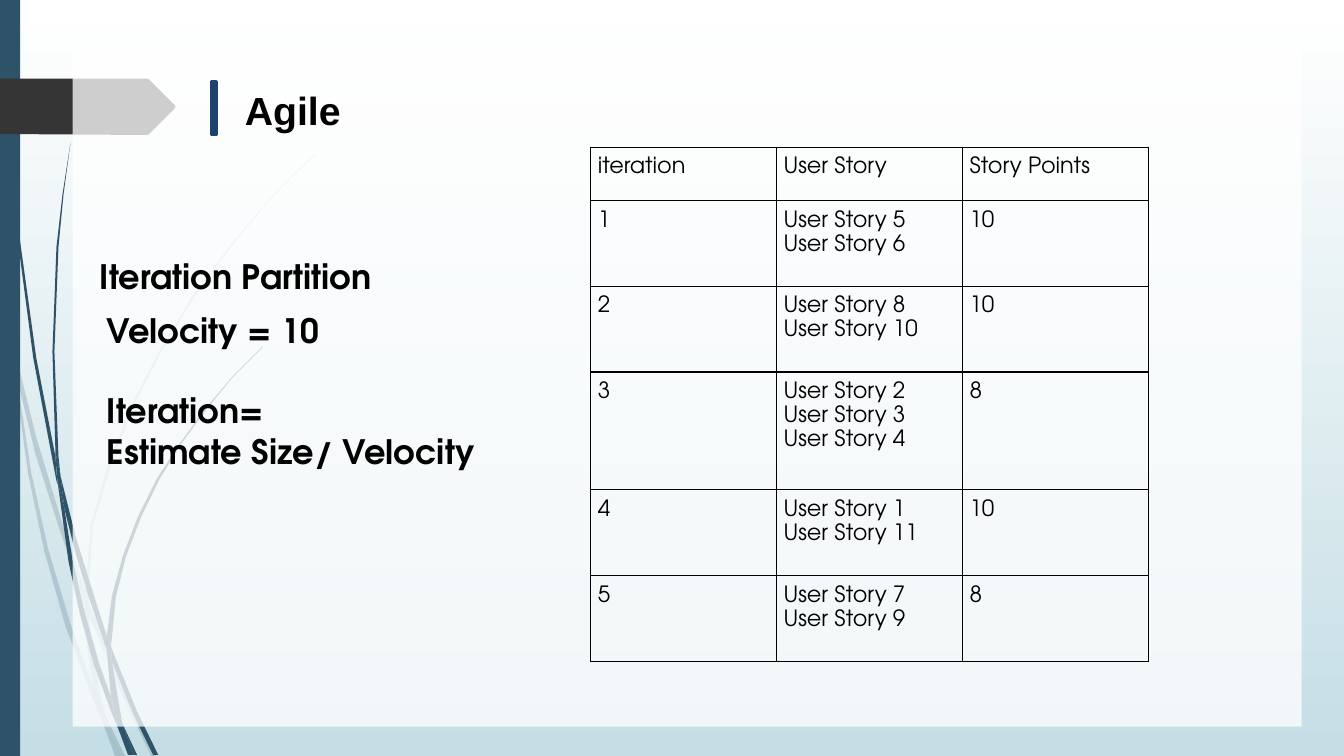
from dataclasses import dataclass
from typing import Any

from lxml import etree
from pptx import Presentation
from pptx import util as u
from pptx.dml.color import RGBColor
from pptx.enum import shapes, text
from pptx.oxml import ns

COLORS = {
    "ink": "000000", "white": "FFFFFF", "mist": "C5DEE5",
    "teal": "2E5369", "charcoal": "353535", "navy": "1C436D",
}
ADVENTOR = "TeX Gyre Adventor"
TITLE = {"name": "Arial", "size": u.Pt(28), "bold": True}
BODY = {"name": ADVENTOR, "size": u.Pt(24), "bold": True}
CELL = {"name": ADVENTOR, "size": u.Pt(16), "bold": False}

Points = list[tuple[int, int]]


@dataclass
class Bar:
    left: float
    top: float
    width: float
    height: float
    color: str
    alpha: int = 100


@dataclass
class Label:
    left: float
    top: float
    width: float
    height: float
    lines: list[str]
    font: dict[str, Any]
    inset: float = 0.1
    spacing: float = 1.0
    gaps: tuple[int, ...] = ()


@dataclass
class Iteration:
    number: str
    stories: list[str]
    points: str
    height: float = 0.85


# Outlines in hundredths of an inch
PALE_STALKS: list[Points] = [
    [(11, 350), (9, 322), (0, 282), (0, 299), (10, 344)],
    [(58, 522), (84, 599), (85, 586), (62, 520), (36, 434), (14, 345), (17, 376), (35, 450)],
    [(92, 607), (88, 596), (88, 610), (123, 694), (150, 750), (155, 750), (127, 692)],
    [(119, 750), (124, 750), (105, 711)],
    [(93, 683), (70, 619), (48, 545), (31, 469), (17, 376), (11, 350), (28, 470), (44, 547),
     (65, 621), (92, 693), (101, 714), (99, 707)],
    [(84, 599), (87, 646), (93, 683), (96, 692), (105, 711), (103, 706), (91, 646),
     (88, 610), (88, 608)],
    [(88, 584), (92, 522), (110, 462), (132, 404), (160, 349), (192, 296), (229, 245),
     (268, 198), (290, 175), (312, 154), (312, 153), (289, 175), (268, 197), (228, 244),
     (190, 295), (158, 348), (130, 403), (107, 461), (90, 521), (85, 584), (85, 586), (88, 596)],
    [(101, 714), (114, 750), (119, 750)],
    [(88, 608), (88, 596), (85, 586), (84, 599)],
    [(96, 692), (93, 683), (99, 707), (101, 714), (119, 750), (105, 711)],
]
DARK_STALKS: list[Points] = [
    [(7, 110), (17, 233), (33, 355), (56, 477), (57, 481), (55, 453), (36, 355), (19, 232),
     (8, 109), (5, 48), (4, 0), (3, 0), (4, 48)],
    [(88, 592), (106, 645), (106, 631), (93, 590), (75, 532), (60, 472), (64, 505), (75, 549)],
    [(113, 649), (110, 641), (111, 656), (132, 708), (152, 749), (157, 749), (136, 706)],
    [(110, 691), (98, 657), (84, 607), (72, 556), (64, 505), (57, 477), (68, 557), (79, 608),
     (93, 659), (111, 708), (117, 722), (116, 717)],
    [(60, 472), (58, 453), (54, 349), (58, 245), (63, 193), (70, 141), (62, 193), (56, 245),
     (52, 349), (55, 449)],
    [(133, 749), (136, 749), (122, 719)],
    [(57, 477), (64, 505), (60, 472), (55, 449), (55, 453)],
    [(111, 633), (115, 592), (125, 552), (140, 513), (158, 476), (180, 440), (205, 406),
     (231, 374), (261, 344), (260, 344), (231, 373), (204, 405), (179, 439), (156, 474),
     (137, 512), (122, 551), (111, 591), (106, 631), (110, 641)],
    [(117, 722), (127, 749), (131, 749)],
    [(106, 645), (110, 691), (116, 706), (122, 719), (121, 716), (111, 656), (109, 651)],
    [(106, 645), (109, 651), (111, 656), (110, 641), (106, 631)],
    [(116, 706), (110, 691), (116, 717), (117, 722), (130, 749), (133, 749), (122, 719)],
]
ARROW: Points = [(0, 78), (146, 78), (148, 79), (173, 104), (174, 106), (173, 108),
                 (148, 133), (146, 134), (0, 133)]

SIDE_BAR = Bar(0, 0, 0.2, 7.5, "teal")
PANEL = Bar(0.72, 0.48, 12.19, 6.73, "white", 76)
TITLE_MARK = Bar(2.1, 0.81, 0.05, 0.53, "navy")

LABELS = [
    Label(2.38, 0.81, 4.6, 0.57, ["Agile"], TITLE, inset=0.05),
    Label(0.89, 2.38, 5.42, 1.11, ["Iteration Partition"], BODY, spacing=1.15),
    Label(0.96, 2.97, 4.1, 1.8, ["Velocity = 10", "Iteration=", "Estimate Size/ Velocity"],
          BODY, gaps=(0, 29, 0)),
]

ITERATIONS = [
    Iteration("iteration", ["User Story"], "Story Points", 0.53),
    Iteration("1", ["User Story 5", "User Story 6"], "10"),
    Iteration("2", ["User Story 8", "User Story 10"], "10"),
    Iteration("3", ["User Story 2", "User Story 3", "User Story 4"], "8", 1.17),
    Iteration("4", ["User Story 1", "User Story 11"], "10"),
    Iteration("5", ["User Story 7", "User Story 9"], "8"),
]


def rgb(name: str) -> RGBColor:
    return RGBColor.from_string(COLORS[name])


def paint(sp: Any, color: str, alpha: int = 100) -> None:
    sp.shadow.inherit = False
    sp.fill.solid()
    sp.fill.fore_color.rgb = rgb(color)
    sp.line.fill.background()
    if alpha < 100:
        clr = sp._element.spPr.find(ns.qn("a:solidFill"))[0]
        etree.SubElement(clr, ns.qn("a:alpha"), val=str(alpha * 1000))


def draw_outline(s: Any, points: Points, color: str, alpha: int = 100) -> None:
    fb = s.shapes.build_freeform(*points[0], scale=u.Inches(0.01))
    fb.add_line_segments(points[1:], close=True)
    paint(fb.convert_to_shape(), color, alpha)


def draw_bar(s: Any, bar: Bar) -> Any:
    box = map(u.Inches, (bar.left, bar.top, bar.width, bar.height))
    sp = s.shapes.add_shape(shapes.MSO_SHAPE.RECTANGLE, *box)
    paint(sp, bar.color, bar.alpha)
    return sp


def write(tf: Any, lines: list[str], font: dict[str, Any], spacing: float,
          gaps: tuple[int, ...] = ()) -> None:
    tf.word_wrap = True
    for i, line in enumerate(lines):
        p = tf.paragraphs[0] if i == 0 else tf.add_paragraph()
        p.line_spacing = spacing
        if gaps:
            p.space_before = u.Pt(gaps[i])
        r = p.add_run()
        r.text = line
        for key, value in font.items():
            setattr(r.font, key, value)
        r.font.color.rgb = rgb("ink")


def set_insets(target: Any, inset: float) -> None:
    for side in ("left", "top", "right", "bottom"):
        setattr(target, f"margin_{side}", u.Inches(inset))


def draw_label(s: Any, label: Label) -> None:
    box = map(u.Inches, (label.left, label.top, label.width, label.height))
    tf = s.shapes.add_textbox(*box).text_frame
    set_insets(tf, label.inset)
    tf.vertical_anchor = text.MSO_ANCHOR.TOP
    write(tf, label.lines, label.font, label.spacing, label.gaps)


def add_borders(cell: Any) -> None:
    tcPr = cell._tc.get_or_add_tcPr()
    for i, tag in enumerate(("a:lnL", "a:lnR", "a:lnT", "a:lnB")):
        ln = etree.Element(ns.qn(tag), w=str(u.Pt(1)))
        fill = etree.SubElement(ln, ns.qn("a:solidFill"))
        etree.SubElement(fill, ns.qn("a:srgbClr"), val=COLORS["ink"])
        tcPr.insert(i, ln)


def draw_table(s: Any, rows: list[Iteration]) -> None:
    height = sum(row.height for row in rows)
    box = map(u.Inches, (5.86, 1.46, 5.53, height))
    table = s.shapes.add_table(len(rows), 3, *box).table
    table.first_row = table.horz_banding = False
    for i, row in enumerate(rows):
        table.rows[i].height = u.Inches(row.height)
        for j, lines in enumerate(([row.number], row.stories, [row.points])):
            cell = table.cell(i, j)
            set_insets(cell, 0.07)
            cell.fill.background()
            write(cell.text_frame, lines, CELL, 1.15)
            add_borders(cell)


def main() -> None:
    prs = Presentation()
    prs.slide_width, prs.slide_height = u.Inches(13.33), u.Inches(7.5)
    s = prs.slides.add_slide(prs.slide_layouts[6])

    # Background
    fill = s.background.fill
    fill.gradient()
    fill.gradient_angle = 270
    for stop, color in zip(fill.gradient_stops, ("white", "mist")):
        stop.color.rgb = rgb(color)

    # Stalks, side bar, arrow and panel
    for stalk in PALE_STALKS:
        draw_outline(s, stalk, "teal", 20)
    for stalk in DARK_STALKS:
        draw_outline(s, stalk, "teal")
    draw_bar(s, SIDE_BAR)
    draw_outline(s, ARROW, "charcoal")
    draw_bar(s, PANEL)

    # Title and notes on velocity
    mark = draw_bar(s, TITLE_MARK)
    mark.line.color.rgb = rgb("navy")
    mark.line.width = u.Pt(2)
    for label in LABELS:
        draw_label(s, label)

    # Iteration plan
    draw_table(s, ITERATIONS)
    prs.save("out.pptx")


if __name__ == "__main__":
    main()
